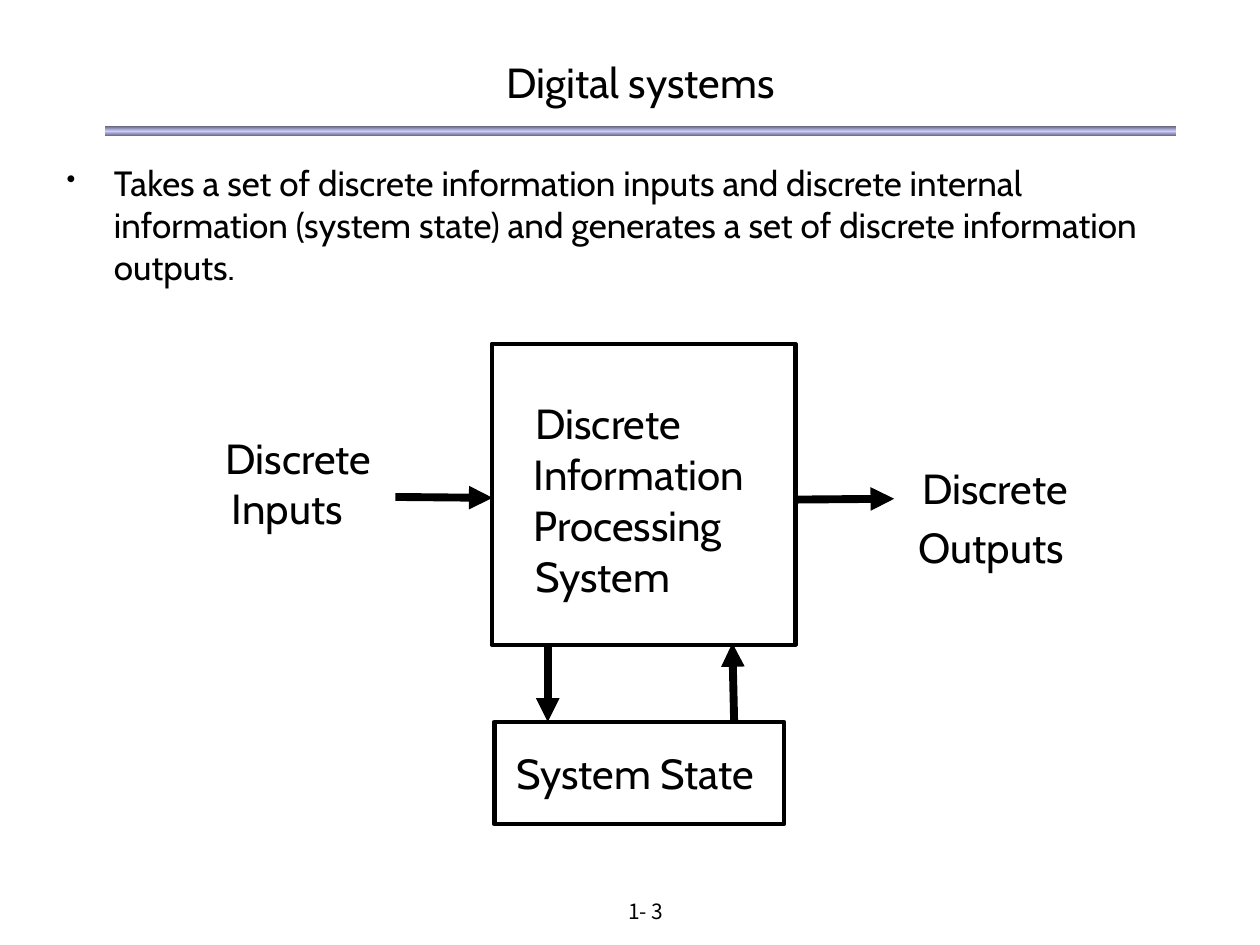
from dataclasses import dataclass

from lxml.etree import SubElement
from pptx import Presentation
from pptx.dml.color import RGBColor
from pptx.enum.shapes import MSO_CONNECTOR, MSO_SHAPE
from pptx.enum.text import MSO_ANCHOR, PP_ALIGN
from pptx.oxml.ns import qn
from pptx.util import Pt


@dataclass(frozen=True)
class Theme:
    ink: str = "000000"
    edge: str = "5E5E76"
    glow: str = "CCCCFF"
    face: str = "Cabin"
    foot: str = "Noto Sans CJK KR"
    large: float = 24
    body: float = 20
    small: float = 12
    frame: float = 2.5
    arrow: float = 4.5


THEME = Theme()
INSET = (7.2, 3.6, 7.2, 3.6)
TITLE = ("Digital systems", (60, 31.5, 612, 30))
RULE = (60, 72, 612, 6)
POINT = (
    "Takes a set of discrete information inputs and discrete internal "
    "information (system state) and generates a set of discrete "
    "information outputs.",
    (31, 88.5, 658, 420),
)
PAGE = ("1- 3", (294, 510, 150, 18))
FRAMES = [(281, 196.5, 173.5, 172), (282.5, 412.5, 165.5, 58.5)]
LABELS = [
    ("Discrete", 306, 227),
    ("Information", 305, 256.2),
    ("Processing", 305, 285.4),
    ("System", 306, 314.6),
    ("Discrete", 129, 247),
    ("Inputs", 132.5, 275.8),
    ("Discrete", 527, 264),
    ("Outputs", 525, 298),
    ("System State", 295, 427),
]
LABEL = (146, 29)
ARROWS = [
    (313, 368.5, 313, 412.5),
    (419.5, 412, 418.5, 367.5),
    (226, 284, 281.5, 284.5),
    (454.5, 285.5, 511, 285),
]


def color(code):
    """Turn a hex code into a colour."""
    return RGBColor.from_string(code)


def write(slide, text, box, size, inset=(0, 0, 0, 0), face=THEME.face, align=PP_ALIGN.LEFT):
    """Add a text box and return its frame."""
    frame = slide.shapes.add_textbox(*map(Pt, box)).text_frame
    frame.word_wrap = True
    (frame.margin_left, frame.margin_top,
     frame.margin_right, frame.margin_bottom) = map(Pt, inset)
    para = frame.paragraphs[0]
    para.text = text
    para.alignment = align
    para.font.name = face
    para.font.size = Pt(size)
    para.font.color.rgb = color(THEME.ink)
    return frame


def bullet(para, hang):
    """Give a paragraph a small hanging bullet."""
    props = para._p.get_or_add_pPr()
    props.set("marL", str(Pt(hang)))
    props.set("indent", str(-Pt(hang)))
    tint = SubElement(props, qn("a:buClr"))
    SubElement(tint, qn("a:srgbClr"), val=THEME.ink)
    SubElement(props, qn("a:buSzPct"), val="75000")
    SubElement(props, qn("a:buChar"), char="•")
    for node in props.findall(qn("a:defRPr")):
        props.append(node)


def block(slide, box):
    """Add a plain rectangle."""
    shape = slide.shapes.add_shape(MSO_SHAPE.RECTANGLE, *map(Pt, box))
    shape.shadow.inherit = False
    return shape


def rule(slide):
    """Add the shaded bar under the title."""
    bar = block(slide, RULE)
    bar.line.fill.background()
    bar.fill.gradient()
    bar.fill.gradient_angle = 90
    stops = bar.fill._fill._gradFill.find(qn("a:gsLst"))
    for stop in list(stops):
        stops.remove(stop)
    for place, code in ((0, THEME.edge), (50, THEME.glow), (100, THEME.edge)):
        stop = SubElement(stops, qn("a:gs"), pos=str(place * 1000))
        SubElement(stop, qn("a:srgbClr"), val=code)


def outline(slide, box):
    """Add an unfilled frame."""
    shape = block(slide, box)
    shape.fill.background()
    shape.line.color.rgb = color(THEME.ink)
    shape.line.width = Pt(THEME.frame)


def arrow(slide, ends):
    """Add a straight arrow."""
    link = slide.shapes.add_connector(MSO_CONNECTOR.STRAIGHT, *map(Pt, ends))
    link.line.color.rgb = color(THEME.ink)
    link.line.width = Pt(THEME.arrow)
    SubElement(link.line._get_or_add_ln(), qn("a:tailEnd"), type="triangle")
    SubElement(link._element.spPr, qn("a:effectLst"))


def main():
    """Build the slide."""
    deck = Presentation()
    deck.slide_width, deck.slide_height = Pt(720), Pt(540)
    slide = deck.slides.add_slide(deck.slide_layouts[6])
    rule(slide)
    head = write(slide, *TITLE, THEME.large, INSET, align=PP_ALIGN.CENTER)
    head.vertical_anchor = MSO_ANCHOR.MIDDLE
    body = write(slide, *POINT, THEME.body, INSET)
    bullet(body.paragraphs[0], 27)
    write(slide, *PAGE, THEME.small, INSET, THEME.foot, PP_ALIGN.CENTER)
    for box in FRAMES:
        outline(slide, box)
    for ends in ARROWS:
        arrow(slide, ends)
    for text, left, top in LABELS:
        write(slide, text, (left, top, *LABEL), THEME.large)
    deck.save("out.pptx")


if __name__ == "__main__":
    main()
